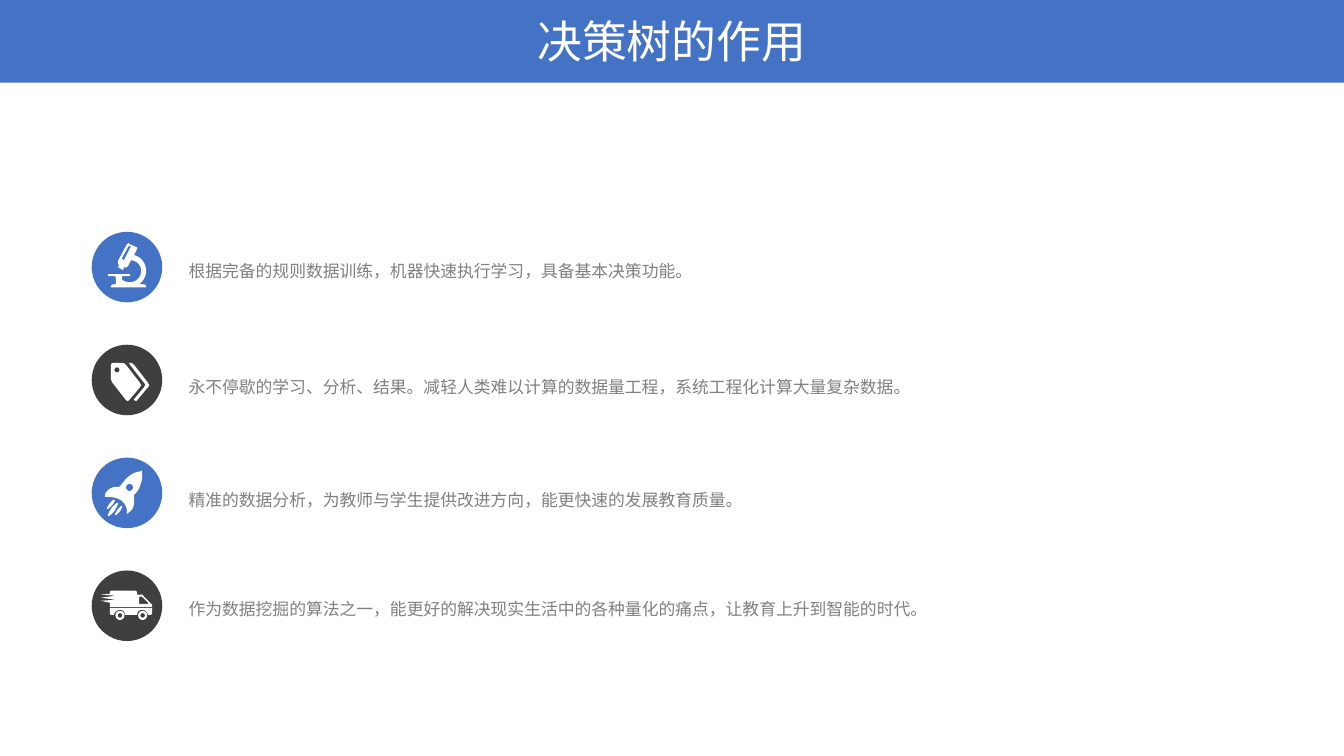
import math

from pptx import Presentation
from pptx import util as u
from pptx.dml.color import RGBColor
from pptx.enum import shapes, text
from pptx.oxml.ns import qn
from lxml import etree


class Theme:
    blue, dark, white, grey = "4472C4", "3F3F3F", "FFFFFF", "808080"
    title_font, body_font, cjk_font = "Noto Sans CJK SC", "Manrope", "Noto Sans CJK SC"
    title_size, body_size = 32, 12


def circle(cx, cy, r, steps=24):
    turns = [2 * math.pi * i / steps for i in range(steps)]
    return [(cx + r * math.cos(a), cy + r * math.sin(a)) for a in turns]


# Icon outlines, in hundredths of an inch from the badge corner.
# A pair is a straight step; six numbers are a cubic curve.
MICROSCOPE = [
    [(49, 52), (47, 52), (51, 49, 54, 44, 54, 39), (54, 31, 49, 25, 42, 23),
     (45, 17), (45, 16, 45, 15, 44, 15), (37, 12), (37, 11, 36, 11, 36, 12),
     (35, 12), (26, 29), (26, 30, 26, 32, 27, 33), (26, 35), (31, 38), (32, 35),
     (34, 36, 35, 35, 36, 34), (39, 28), (45, 29, 49, 33, 49, 39),
     (49, 45, 44, 50, 38, 50), (35, 50, 31, 49, 30, 47), (30, 46),
     (30, 45, 30, 44, 31, 44), (38, 44), (38, 42), (16, 42), (16, 44), (23, 44),
     (23, 44, 24, 45, 24, 46), (24, 52), (21, 52, 19, 52, 19, 55), (54, 55),
     (54, 52, 52, 52, 49, 52)],
    [(39, 15), (38, 16), (32, 28), (30, 27), (30, 26), (36, 15), (37, 14), (38, 14)],
]
TAGS = [
    [(48, 38), (48, 39, 49, 39, 49, 40), (49, 41, 48, 41, 48, 42), (37, 55),
     (36, 56), (34, 55), (20, 37), (20, 36, 19, 35, 19, 34), (19, 21),
     (19, 19, 20, 18, 21, 18), (30, 18), (32, 18, 33, 19, 34, 20)],
    circle(25, 25, 2.5),
    [(56, 38), (56, 39, 57, 39, 57, 40), (57, 41, 56, 42, 56, 42), (45, 55),
     (44, 56), (42, 55), (42, 54), (52, 42), (52, 41, 53, 41, 53, 40),
     (53, 39, 52, 38, 52, 38), (38, 20), (37, 18), (35, 18), (38, 18),
     (40, 18, 41, 19, 42, 20)],
]
ROCKET = [
    [(30, 48), (30, 48, 31, 49, 30, 49), (30, 51, 27, 55, 24, 57),
     (23, 57, 23, 57, 23, 56), (24, 54, 26, 51, 29, 48)],
    [(26, 45), (26, 45, 27, 46, 26, 46), (25, 49, 22, 55, 17, 58),
     (16, 58, 16, 58, 16, 57), (17, 54, 20, 48, 25, 45)],
    [(22, 42), (23, 42, 23, 43, 23, 43), (22, 45, 19, 49, 16, 51),
     (15, 51, 15, 51, 15, 50), (16, 48, 18, 45, 21, 42)],
    [(49, 13), (50, 13), (50, 17), (50, 18, 50, 20, 50, 22), (49, 24),
     (49, 26, 48, 27, 48, 28), (47, 31, 45, 34, 42, 37), (42, 38, 42, 39, 42, 40),
     (42, 44, 43, 51, 36, 55), (35, 56, 34, 56, 35, 54), (35, 50, 33, 38, 14, 39),
     (13, 39, 13, 38, 13, 37), (14, 34, 18, 28, 27, 29), (27, 29, 29, 28, 29, 27),
     (31, 25, 34, 20, 39, 17), (42, 15, 45, 14, 46, 14), (48, 14)],
    circle(37.5, 29.5, 3.5),
]
VAN = [
    [(60, 37), (60, 42), (60, 43, 59, 44, 58, 44), (56, 44), (55, 41, 53, 39, 50, 39),
     (47, 39, 45, 41, 45, 44), (33, 44), (33, 41, 31, 39, 28, 39),
     (25, 39, 23, 41, 22, 44), (20, 44), (18, 44, 18, 43, 18, 42), (18, 37)],
    [(59, 33), (51, 25), (51, 24, 50, 24, 49, 24), (45, 24), (45, 22),
     (45, 21, 44, 20, 43, 20), (20, 20), (18, 20, 18, 21, 18, 22), (18, 23),
     (9, 24), (24, 25), (9, 27), (24, 29), (9, 30), (18, 32), (18, 36), (60, 36),
     (60, 35, 60, 34, 59, 33)],
    [(56, 33), (47, 33), (47, 27), (47, 26, 48, 26, 48, 26), (50, 26), (56, 32)],
    *[circle(cx, 44.5, r) for cx in (28, 50.5) for r in (4.5, 2.2)],
]


def flatten(contour, steps=8):
    points = []
    for step in contour:
        if len(step) == 2:
            points.append(step)
            continue
        knots = [points[-1], step[:2], step[2:4], step[4:]]
        for t in (i / steps for i in range(1, steps + 1)):
            weights = ((1 - t) ** 3, 3 * t * (1 - t) ** 2, 3 * t * t * (1 - t), t ** 3)
            points.append(tuple(sum(w * k[axis] for w, k in zip(weights, knots))
                                for axis in (0, 1)))
    return points


class SlideMaker:
    def __init__(self, prs, theme):
        self.theme = theme
        self.s = prs.slides.add_slide(prs.slide_layouts[5])

    def paint(self, sp, color):
        sp.shadow.inherit = False
        sp.fill.solid()
        sp.fill.fore_color.rgb = RGBColor.from_string(color)
        sp.line.fill.background()
        return sp

    def shape(self, parent, kind, box, color):
        return self.paint(parent.add_shape(kind, *map(u.Inches, box)), color)

    def set_text(self, sp, words, frame, paragraph, font, color):
        tf = sp.text_frame
        p = tf.paragraphs[0]
        r = p.add_run()
        r.text = words
        for target, values in ((tf, frame), (p, paragraph), (r.font, font)):
            for name, value in values.items():
                setattr(target, name, value)
        r.font.color.rgb = RGBColor.from_string(color)
        ea = etree.SubElement(r._r.get_or_add_rPr(), qn("a:ea"))
        ea.set("typeface", self.theme.cjk_font)

    def title(self, words, band_box, box):
        t, sp = self.theme, self.s.shapes.title
        band = self.shape(self.s.shapes, shapes.MSO_SHAPE.RECTANGLE, band_box, t.blue)
        sp.element.addprevious(band.element)
        sp.left, sp.top, sp.width, sp.height = map(u.Inches, box)
        self.set_text(sp, words,
                      dict(word_wrap=True, vertical_anchor=text.MSO_ANCHOR.TOP,
                           auto_size=text.MSO_AUTO_SIZE.SHAPE_TO_FIT_TEXT),
                      dict(alignment=text.PP_ALIGN.CENTER),
                      dict(name=t.title_font, size=u.Pt(t.title_size)), t.white)

    def body(self, words, box):
        t = self.theme
        sp = self.s.shapes.add_textbox(*map(u.Inches, box))
        self.set_text(sp, words,
                      dict(word_wrap=True, vertical_anchor=text.MSO_ANCHOR.MIDDLE,
                           margin_left=0),
                      dict(line_spacing=1.5),
                      dict(name=t.body_font, size=u.Pt(t.body_size)), t.grey)

    def badge(self, left, top, size, color, icon):
        group = self.s.shapes.add_group_shape().shapes
        self.shape(group, shapes.MSO_SHAPE.OVAL, (left, top, size, size), color)
        builder = None
        for contour in icon:
            points = [(u.Inches(left + x / 100), u.Inches(top + y / 100))
                      for x, y in flatten(contour)]
            if builder is None:
                builder = group.build_freeform(*points[0])
            else:
                builder.move_to(*points[0])
            builder.add_line_segments(points[1:], close=True)
        self.paint(builder.convert_to_shape(), self.theme.white)


def main():
    prs = Presentation()
    prs.slide_width, prs.slide_height = u.Inches(13.33), u.Inches(7.5)
    theme = Theme()
    maker = SlideMaker(prs, theme)

    # Header
    maker.title("决策树的作用", (0, 0, 13.33, 0.82), (4.66, 0.09, 4.01, 0.64))

    # Benefits: icon, text top, text width, wording
    benefits = [
        (MICROSCOPE, 2.3, 8.39, "根据完备的规则数据训练，机器快速执行学习，具备基本决策功能。"),
        (TAGS, 3.45, 7.7, "永不停歇的学习、分析、结果。减轻人类难以计算的数据量工程，系统工程化计算大量复杂数据。"),
        (ROCKET, 4.57, 10.05, "精准的数据分析，为教师与学生提供改进方向，能更快速的发展教育质量。"),
        (VAN, 5.66, 8.32, "作为数据挖掘的算法之一，能更好的解决现实生活中的各种量化的痛点，让教育上升到智能的时代。"),
    ]
    for i, (icon, top, width, words) in enumerate(benefits):
        maker.body(words, (1.87, top, width, 0.67))
        maker.badge(0.91, 2.3 + 1.12 * i, 0.7, (theme.blue, theme.dark)[i % 2], icon)

    prs.save("out.pptx")


if __name__ == "__main__":
    main()
